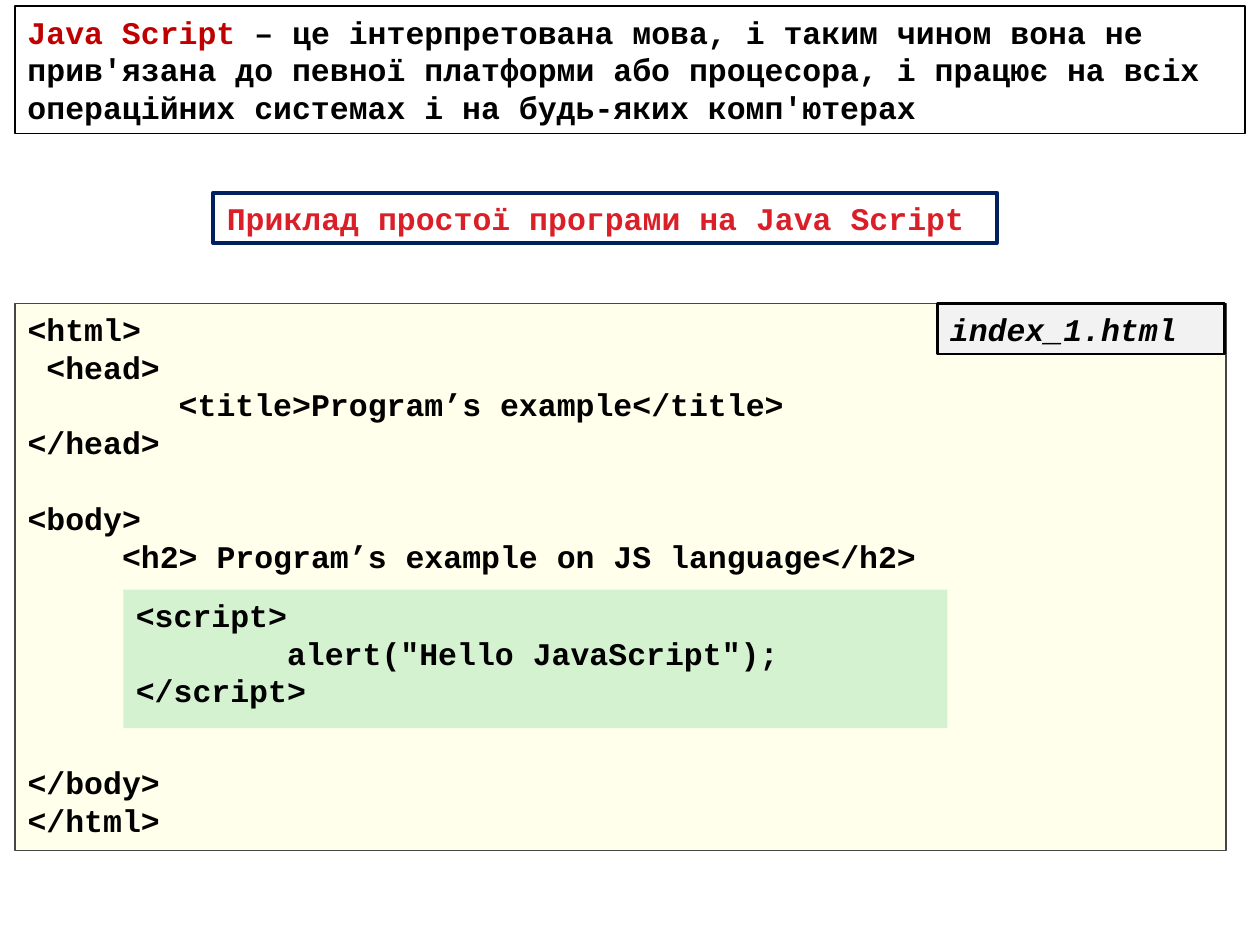
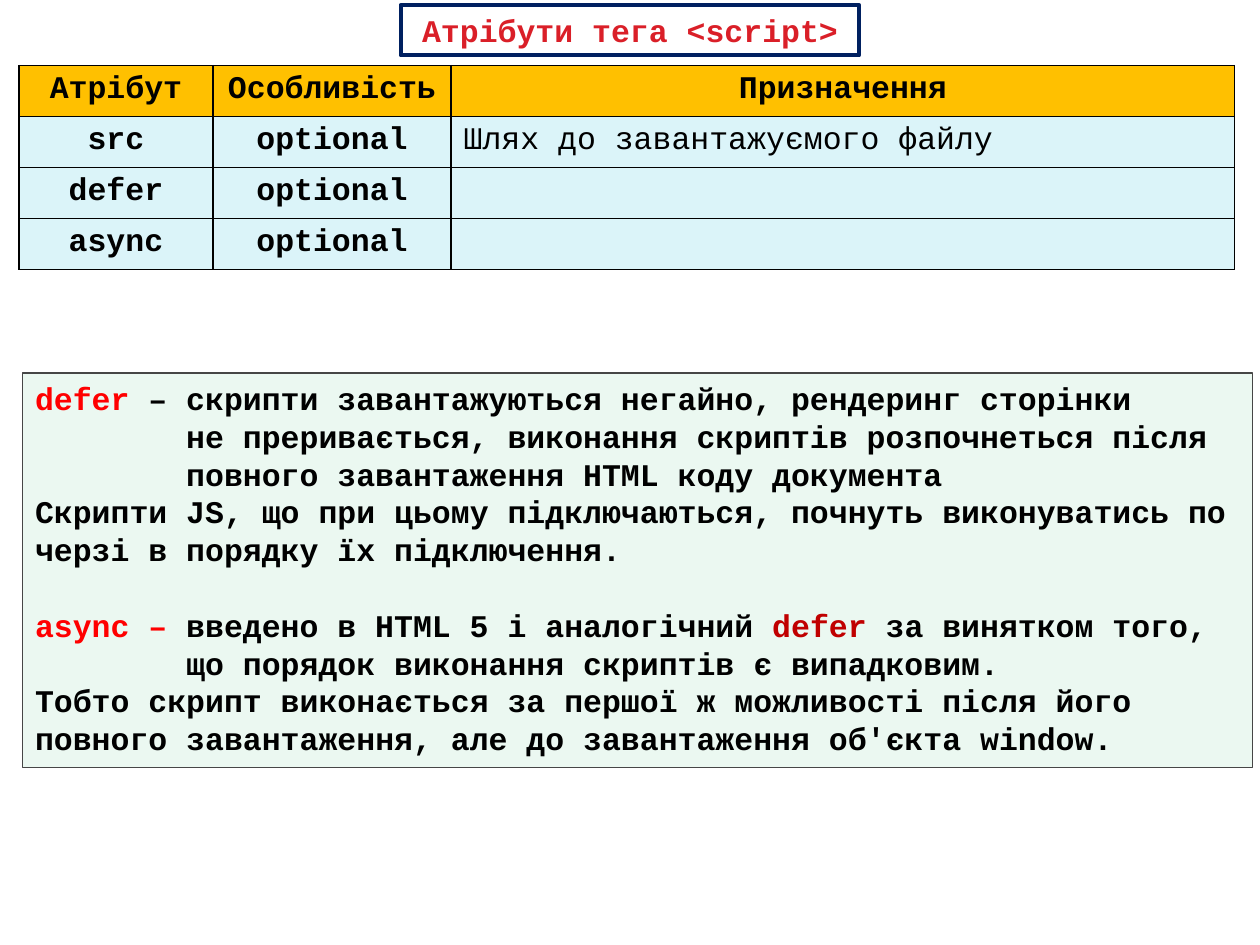
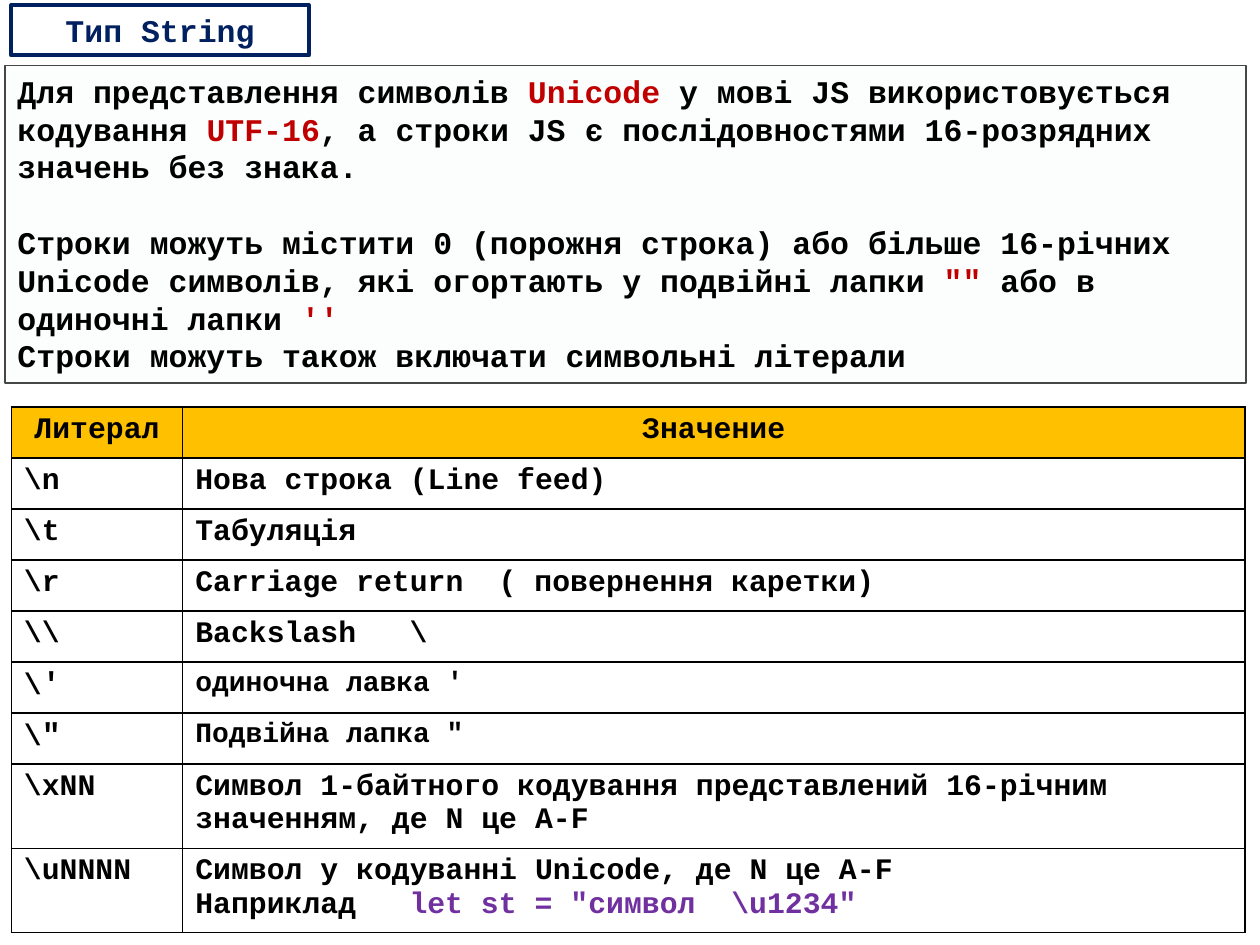
from lxml import etree
from pptx import Presentation
from pptx.dml.color import RGBColor
from pptx.enum.shapes import MSO_SHAPE
from pptx.enum.text import MSO_ANCHOR, PP_ALIGN
from pptx.oxml.ns import qn
from pptx.util import Inches, Pt

# Shared look
FONT = "Courier New"
SIZE = 18
LINE = 21.6  # height of one text line, in points
CHAR = 0.6   # width of a letter as a share of the size
BLACK, WHITE, NAVY = "000000", "FFFFFF", "002060"
RED, DARK, TITLE = "FF0000", "C00000", "DA1F28"
GREEN, GOLD, GRAY, VIOLET = "00B050", "FFC000", "464646", "7030A0"


def paint(target, color):
    """Set a solid colour on a font, fill or line colour."""
    target.rgb = RGBColor.from_string(color)


def fade(fill, alpha):
    """Make a solid fill partly transparent; alpha is in percent."""
    node = fill._xPr.find(qn("a:solidFill"))[0]
    etree.SubElement(node, qn("a:alpha"), val=str(alpha * 1000))


def set_fill(fill, color, alpha=100):
    if color is None:
        fill.background()
        return
    fill.solid()
    paint(fill.fore_color, color)
    if alpha < 100:
        fade(fill, alpha)


def add_tab(para, chars, size):
    """Put a tab stop after the given number of letters."""
    tabs = etree.SubElement(para._p.get_or_add_pPr(), qn("a:tabLst"))
    place = Pt(chars * CHAR * size)
    etree.SubElement(tabs, qn("a:tab"), pos=str(int(place)), algn="l")


def add_runs(para, parts, color=BLACK, size=SIZE, bold=True, italic=False):
    """Write strings or (text, colour, size) tuples as runs."""
    for part in [parts] if isinstance(parts, str) else parts:
        text, tone, points = part if isinstance(part, tuple) else (part, color, size)
        run = para.add_run()
        run.text = text
        font = run.font
        font.name, font.size = FONT, Pt(points)
        font.bold, font.italic = bold, italic
        paint(font.color, tone)


def add_box(slide, area, paras, fill=None, alpha=100, line=None, width=0.75,
            gaps={}, indent=(), align=PP_ALIGN.LEFT, anchor=MSO_ANCHOR.TOP,
            **style):
    """Add a text panel; gaps maps a paragraph to its blank lines above."""
    box = slide.shapes.add_shape(MSO_SHAPE.RECTANGLE, *map(Inches, area))
    box.shadow.inherit = False
    set_fill(box.fill, fill, alpha)
    if line:
        paint(box.line.color, line)
        box.line.width = Pt(width)
    else:
        box.line.fill.background()
    frame = box.text_frame
    frame.word_wrap = True
    frame.vertical_anchor = anchor
    for num, parts in enumerate(paras):
        para = frame.add_paragraph() if num else frame.paragraphs[0]
        para.alignment = align
        if num in gaps:
            para.space_before = Pt(gaps[num] * LINE)
        if num in indent:
            props = para._p.get_or_add_pPr()
            props.set("marL", str(int(Pt(8 * CHAR * SIZE))))
            props.set("indent", "0")
        add_runs(para, parts, **style)


def add_title(slide, area, text, color=TITLE):
    add_box(slide, area, [text], WHITE, line=NAVY, width=2.25, color=color,
            align=PP_ALIGN.CENTER, anchor=MSO_ANCHOR.MIDDLE)


def add_edges(cell):
    """Draw a thin black border on all four sides."""
    props = cell._tc.get_or_add_tcPr()
    for num, side in enumerate(("lnL", "lnR", "lnT", "lnB")):
        edge = etree.Element(qn("a:" + side), w=str(int(Pt(1))))
        solid = etree.SubElement(edge, qn("a:solidFill"))
        etree.SubElement(solid, qn("a:srgbClr"), val=BLACK)
        props.insert(num, edge)


def add_grid(slide, left, top, cols, rows, heights, size,
             fill=None, alpha=100, mid=0, plain=None, tabs={}):
    """Add a table; the first mid columns are centred, column plain is light."""
    table = slide.shapes.add_table(
        len(rows), len(cols), Inches(left), Inches(top),
        Inches(sum(cols)), Inches(sum(heights))).table
    table.first_row = table.horz_banding = False
    for col, width in zip(table.columns, cols):
        col.width = Inches(width)
    for y, row in enumerate(rows):
        table.rows[y].height = Inches(heights[y])
        for x, paras in enumerate(row):
            cell = table.cell(y, x)
            if y:
                set_fill(cell.fill, fill, alpha)
            else:
                set_fill(cell.fill, GOLD)
            add_edges(cell)
            frame = cell.text_frame
            for num, parts in enumerate([paras] if isinstance(paras, str) else paras):
                para = frame.add_paragraph() if num else frame.paragraphs[0]
                if y == 0 or x < mid:
                    para.alignment = PP_ALIGN.CENTER
                if (y, x, num) in tabs:
                    add_tab(para, tabs[y, x, num], size)
                add_runs(para, parts, size=size, bold=y == 0 or x != plain)


def build_intro(slide):
    add_box(slide, (0.12, 0.05, 9.76, 1.01), [
        [("Java Script ", DARK, SIZE),
         "– це інтерпретована мова, і таким чином вона не"],
        "прив'язана до певної платформи або процесора, і працює на всіх "
        "операційних системах і на будь-яких комп'ютерах",
    ], line=BLACK, width=1)
    add_title(slide, (1.69, 1.53, 6.22, 0.4),
              "Приклад простої програми на Java Script ")
    # Page code, with room for the script block
    add_box(slide, (0.12, 2.41, 9.61, 4.34), [
        "<html>",
        " <head>",
        "        <title>Program’s example</title>",
        "</head>",
        "<body>",
        "     <h2> Program’s example on JS language</h2>",
        "</body>",
        "</html>",
    ], "FFFF00", 8, line=GRAY, gaps={4: 1, 6: 5})
    add_box(slide, (7.44, 2.41, 2.28, 0.4), ["index_1.html"], "F2F2F2",
            line=BLACK, width=1.5, italic=True)
    add_box(slide, (0.98, 4.68, 6.54, 1.1), [
        "<script>",
        '        alert("Hello JavaScript");',
        "</script>",
    ], GREEN, 17)


def build_attrs(slide):
    add_title(slide, (3.18, 0.04, 3.64, 0.4), "Атрібути тега <script> ")
    add_grid(slide, 0.15, 0.52, (1.54, 1.89, 6.22), [
        ("Атрібут", "Особливість", "Призначення"),
        ("src", "optional", "Шлях до завантажуємого файлу"),
        ("defer", "optional", []),
        ("async", "optional", []),
    ], [0.405] * 4, SIZE, "B5E9F4", 48, mid=2, plain=2)
    add_box(slide, (0.18, 2.96, 9.76, 3.13), [
        [("defer", RED, SIZE),
         " – скрипти завантажуються негайно, рендеринг сторінки"],
        "не преривається, виконання скриптів розпочнеться після",
        "повного завантаження HTML коду документа",
        "Скрипти JS, що при цьому підключаються, почнуть виконуватись по "
        "черзі в порядку їх підключення.",
        [("async – ", RED, SIZE), "введено в HTML 5 і аналогічний ",
         ("defer ", DARK, SIZE), "за винятком того,"],
        "що порядок виконання скриптів є випадковим.",
        "Тобто скрипт виконається за першої ж можливості після його",
        "повного завантаження, але до завантаження об'єкта window.",
    ], GREEN, 8, line=GRAY, gaps={4: 1}, indent=(1, 2, 5))


def build_string(slide):
    add_title(slide, (0.09, 0.04, 2.36, 0.4), "Тип String", NAVY)
    add_box(slide, (0.04, 0.52, 9.85, 2.52), [
        ["Для представлення символів ", ("Unicode ", DARK, SIZE),
         "у мові JS використовується кодування ", ("UTF-16", DARK, SIZE),
         ", а строки JS є послідовностями 16-розрядних значень без знака."],
        ["Строки можуть містити 0 (порожня строка) або більше 16-річних "
         "Unicode символів, які огортають у подвійні лапки ",
         ('"" ', DARK, SIZE), "або в одиночні лапки ", ("''", DARK, SIZE)],
        "Строки можуть також включати символьні літерали",
    ], "DEF5FA", 8, line=GRAY, gaps={1: 1})
    # Escape sequences
    add_grid(slide, 0.09, 3.23, (1.36, 8.43), [
        ("Литерал", "Значение"),
        ("\\n", "Нова строка (Line feed)"),
        ("\\t", "Табуляція"),
        ("\\r", "Carriage return\t( повернення каретки)"),
        ("\\\\", "Backslash\t\\"),
        ([["\\", ("'", BLACK, 18)]], [[("одиночна лавка '", BLACK, 16)]]),
        ([["\\", ('"', BLACK, 18)]], [[('Подвійна лапка "', BLACK, 16)]]),
        ("\\xNN", "Символ 1-байтного кодування представлений 16-річним "
                  "значенням, де N це А-F"),
        ("\\uNNNN", ["Символ у кодуванні Unicode, де N це А-F",
                     ["Наприклад\t",
                      ('let st = "символ  \\u1234"', VIOLET, 17)]]),
    ], [0.405] * 7 + [0.67] * 2, 17,
        tabs={(3, 1, 0): 17, (4, 1, 0): 12, (8, 1, 1): 12})


def main():
    deck = Presentation()
    deck.slide_width, deck.slide_height = Inches(10), Inches(7.5)
    for build in (build_intro, build_attrs, build_string):
        build(deck.slides.add_slide(deck.slide_layouts[6]))
    deck.save("out.pptx")


if __name__ == "__main__":
    main()
